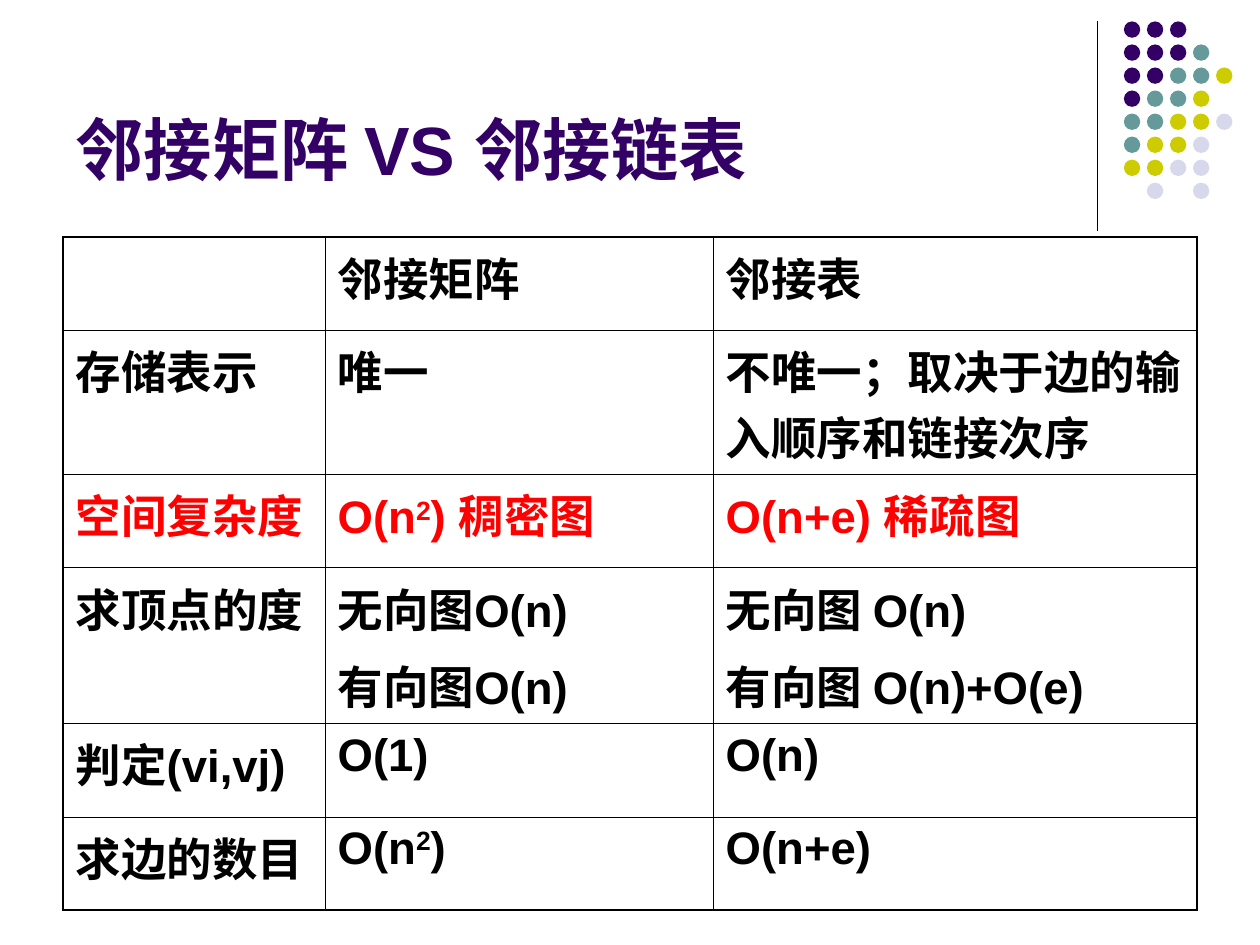
from dataclasses import dataclass

from lxml.etree import SubElement
from pptx import Presentation
from pptx.dml.color import RGBColor
from pptx.enum.shapes import MSO_CONNECTOR, MSO_SHAPE
from pptx.enum.text import MSO_ANCHOR, MSO_AUTO_SIZE, PP_ALIGN
from pptx.oxml.ns import qn
from pptx.util import Inches, Pt

COLORS = {
    "black": "000000",
    "red": "FF0000",
    "plum": "330066",
    "teal": "669999",
    "lime": "CCCC00",
    "mist": "D8D8EC",
}
DOTS = ["ppp", "pppt", "ppttl", "pttl", "ttllm", "tllm", "llmm", " m m"]
SHADES = {"p": "plum", "t": "teal", "l": "lime", "m": "mist"}
STEP = 1.28 / 7
WIDTHS = [2.08, 3.08, 3.84]
THIN, THICK = 0.45, 1.08


@dataclass
class Row:
    height: float
    cells: list[str]
    color: str = "black"


ROWS = [
    Row(0.74, ["", "邻接矩阵", "邻接表"]),
    Row(0.97, ["存储表示", "唯一", "不唯一；取决于边的输入顺序和链接次序"]),
    Row(0.74, ["空间复杂度", "O(n²) 稠密图", "O(n+e) 稀疏图"], "red"),
    Row(1.06, ["求顶点的度", "无向图O(n)\n有向图O(n)",
               "无向图 O(n)\n有向图 O(n)+O(e)"]),
    Row(0.74, ["判定(vi,vj)", "O(1)", "O(n)"]),
    Row(0.74, ["求边的数目", "O(n²)", "O(n+e)"]),
]


def tint(name: str) -> RGBColor:
    return RGBColor.from_string(COLORS[name])


def write(frame, text: str, *, size: float, color: str = "black", gap: float = 0) -> None:
    for i, line in enumerate(text.split("\n")):
        para = frame.add_paragraph() if i else frame.paragraphs[0]
        para.alignment = PP_ALIGN.LEFT
        para.space_before = Pt(gap if i else 0)
        head, mark, tail = line.partition("²")
        for part, base in ((head, 0), ("2" if mark else "", 30000), (tail, 0)):
            if not part:
                continue
            run = para.add_run()
            run.text = part
            font = run.font
            font.name = "Arial"
            font.size = Pt(size)
            font.bold = True
            font.color.rgb = tint(color)
            if base:
                run._r.get_or_add_rPr().set("baseline", str(base))


def border(cell, edges: dict[str, float]) -> None:
    props = cell._tc.get_or_add_tcPr()
    for side, width in edges.items():
        line = SubElement(props, qn(f"a:ln{side}"), w=str(Pt(width)))
        fill = SubElement(line, qn("a:solidFill"))
        SubElement(fill, qn("a:srgbClr"), val=COLORS["black"])


def draw_dots(slide) -> None:
    for y, row in enumerate(DOTS):
        for x, key in enumerate(row):
            if key == " ":
                continue
            dot = slide.shapes.add_shape(
                MSO_SHAPE.OVAL, Inches(8.92 + x * STEP), Inches(0.17 + y * STEP),
                Inches(0.13), Inches(0.13))
            dot.shadow.inherit = False
            dot.fill.solid()
            dot.fill.fore_color.rgb = tint(SHADES[key])
            dot.line.fill.background()


def draw_rule(slide) -> None:
    rule = slide.shapes.add_connector(
        MSO_CONNECTOR.STRAIGHT, Inches(8.71), Inches(0.17), Inches(8.71), Inches(1.83))
    rule.line.color.rgb = tint("black")
    rule.line.width = Pt(0.75)
    SubElement(rule._element.spPr, qn("a:effectLst"))


def draw_title(slide) -> None:
    title = slide.shapes.title
    title.left, title.top = Inches(0.5), Inches(0.13)
    title.width, title.height = Inches(8.25), Inches(1.42)
    frame = title.text_frame
    frame.auto_size = MSO_AUTO_SIZE.NONE
    frame.vertical_anchor = MSO_ANCHOR.BOTTOM
    write(frame, "邻接矩阵 VS 邻接链表", size=39, color="plum")


def draw_table(slide) -> None:
    table = slide.shapes.add_table(
        len(ROWS), len(WIDTHS), Inches(0.5), Inches(1.88),
        Inches(sum(WIDTHS)), Inches(sum(row.height for row in ROWS))).table
    table.first_row = table.horz_banding = False
    for col, width in zip(table.columns, WIDTHS):
        col.width = Inches(width)
    for y, row in enumerate(ROWS):
        table.rows[y].height = Inches(row.height)
        for x, text in enumerate(row.cells):
            cell = table.cell(y, x)
            border(cell, {
                "L": THICK if x == 0 else THIN,
                "R": THICK if x == len(WIDTHS) - 1 else THIN,
                "T": THICK if y == 0 else THIN,
                "B": THICK if y == len(ROWS) - 1 else THIN,
            })
            cell.fill.background()
            write(cell.text_frame, text, size=26, color=row.color, gap=6.5)


def main() -> None:
    deck = Presentation()
    deck.slide_width, deck.slide_height = Inches(10), Inches(7.5)
    slide = deck.slides.add_slide(deck.slide_layouts[5])
    draw_rule(slide)
    draw_dots(slide)
    draw_title(slide)
    draw_table(slide)
    deck.save("out.pptx")


if __name__ == "__main__":
    main()
